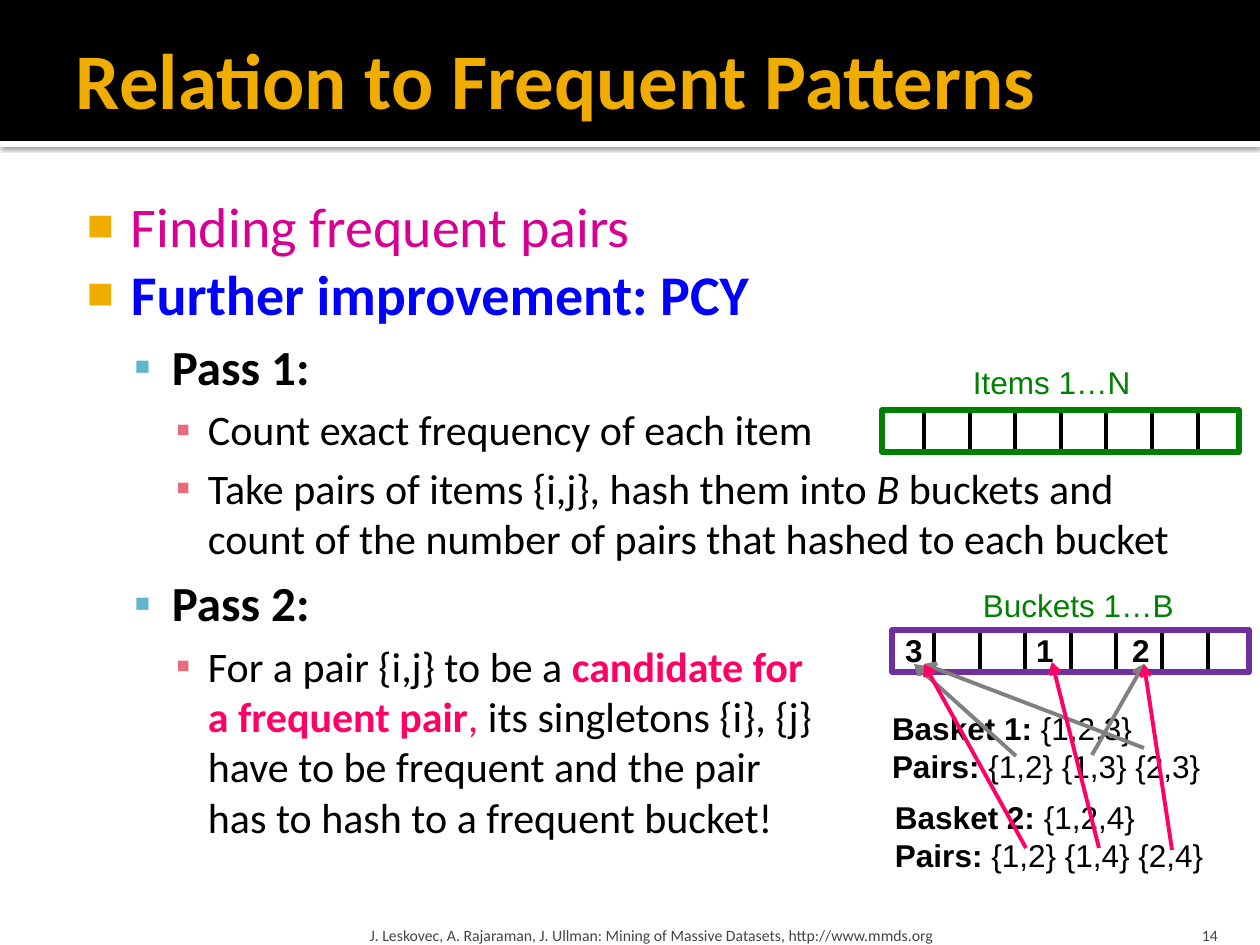
from lxml import etree
from pptx import Presentation
from pptx import util as u
from pptx.dml.color import RGBColor
from pptx.enum import shapes, text
from pptx.oxml import parse_xml
from pptx.oxml.ns import nsdecls, qn

PX = 914400 / 126
HUE = {"black": "000000", "white": "FFFFFF", "gold": "F0AD00", "plum": "D60093",
       "blue": "0000FF", "teal": "60B5CC", "rose": "E66C7D", "pink": "FF0066",
       "green": "008000", "violet": "7030A0", "gray": "808080", "dark": "454545"}
RGB = {name: RGBColor.from_string(code) for name, code in HUE.items()}

deck = Presentation()
deck.slide_width, deck.slide_height = u.Inches(10), u.Inches(7.5)
slide = deck.slides.add_slide(deck.slide_layouts[6])
art = slide.shapes


def write(spot, paras, size, font="Calibri", hue="black", inset=(13, 6, 13, 6),
          anchor="TOP", align="LEFT", wrap=True, levels=None, tabs=()):
    box = art.add_textbox(*[round(v * PX) for v in spot])
    frame = box.text_frame
    frame.word_wrap = wrap
    frame.auto_size = text.MSO_AUTO_SIZE.NONE if wrap else text.MSO_AUTO_SIZE.SHAPE_TO_FIT_TEXT
    frame.vertical_anchor = text.MSO_ANCHOR[anchor]
    (frame.margin_left, frame.margin_top,
     frame.margin_right, frame.margin_bottom) = [round(v * PX) for v in inset]
    for i, runs in enumerate(paras):
        para = frame.paragraphs[0] if i == 0 else frame.add_paragraph()
        para.alignment = text.PP_ALIGN[align]
        props = para._p.get_or_add_pPr()
        points = size
        if levels:
            para.level = levels[i]
            mark, tint, scale, left, hang, points, gap = LEVELS[levels[i]]
            props.set("marL", str(round(left * PX)))
            props.set("indent", str(round(-hang * PX)))
            for tag, key, value in (("buSzPct", "val", str(scale * 1000)),
                                    ("buFont", "typeface", "Arial"),
                                    ("buChar", "char", mark)):
                etree.SubElement(props, qn("a:" + tag)).set(key, value)
            color = parse_xml(f'<a:buClr {nsdecls("a")}><a:srgbClr val="{HUE[tint]}"/></a:buClr>')
            props.insert(0, color)
            para.space_before = u.Pt(gap)
        if tabs:
            stops = etree.SubElement(props, qn("a:tabLst"))
            for x in tabs:
                etree.SubElement(stops, qn("a:tab"), pos=str(round(x * PX)), algn="l")
        for words, look, tone in runs:
            for j, part in enumerate(words.split("\n")):
                if j:
                    para.add_line_break()
                run = para.add_run()
                run.text = part
                run.font.name, run.font.size = font, u.Pt(points)
                run.font.bold, run.font.italic = look == "b", look == "i"
                run.font.color.rgb = RGB[tone or hue]


def draw(start, end, hue, arrow=False):
    line = art.add_connector(shapes.MSO_CONNECTOR.STRAIGHT,
                             *[round(v * PX) for v in start + end])
    line.line.color.rgb, line.line.width = RGB[hue], u.Pt(2.25)
    etree.SubElement(line._element.spPr, qn("a:effectLst"))
    if arrow:
        etree.SubElement(line.line._ln, qn("a:tailEnd"), type="arrow")


for y, h, hue in ((141, 6, "white"), (0, 141, "black")):
    bar = art.add_shape(shapes.MSO_SHAPE.RECTANGLE, 0, round(y * PX),
                        deck.slide_width, round(h * PX))
    bar.shadow.inherit = False
    bar.fill.solid()
    bar.fill.fore_color.rgb = RGB[hue]
    bar.line.fill.background()
    if hue == "white":
        glow = bar._element.spPr.find(qn("a:effectLst"))
        glow.append(parse_xml(
            f'<a:outerShdw {nsdecls("a")} blurRad="31750" dist="10160" dir="5400000">'
            '<a:srgbClr val="000000"><a:alpha val="60000"/></a:srgbClr></a:outerShdw>'))

write((63, 10, 1134, 136), [[("Relation to Frequent Patterns", "b", None)]], 45,
      hue="gold", inset=(13, 6, 6, 6), anchor="MIDDLE")

LEVELS = [("■", "gold", 80, 60, 44, 32, 0),
          ("▪", "teal", 100, 101, 38, 28, 5.6),
          ("▪", "rose", 100, 137, 32, 24, 4.8)]
BODY = [
    (0, [("Finding frequent pairs", "", "plum")]),
    (0, [("Further improvement: PCY", "b", "blue")]),
    (1, [("Pass 1:", "b", None)]),
    (2, [("Count exact frequency of each item", "", None)]),
    (2, [("Take pairs of items {i,j}, hash them into ", "", None), ("B", "i", None),
         (" buckets and count of the number of pairs that hashed to each bucket", "", None)]),
    (1, [("Pass 2:", "b", None)]),
    (2, [("For a pair {i,j} to be a ", "", None),
         ("candidate for \na frequent pair", "b", "pink"), (", ", "", "pink"),
         ("its singletons {i}, {j} \nhave to be frequent and the pair \n"
          "has to hash to a frequent bucket!", "", None)]),
]
write((63, 179, 1134, 746), [runs for _, runs in BODY], 24,
      inset=(8, 13, 13, 6), levels=[level for level, _ in BODY])

write((364, 907, 759, 38),
      [[("J. Leskovec, A. Rajaraman, J. Ullman: Mining of Massive Datasets, "
         "http://www.mmds.org", "", None)]], 9, hue="dark", inset=(6, 6, 6, 0), anchor="BOTTOM")
write((1130, 907, 101, 38), [[("14", "", None)]], 9, hue="dark",
      inset=(13, 6, 13, 0), anchor="BOTTOM", align="RIGHT")

for x, y, hue in ((882, 410, "green"), (892, 630, "violet")):
    for i in range(7):
        at = x + 42 + round(i * 45.6)
        draw((at, y), (at, y + 42), "black")
    row = art.add_shape(shapes.MSO_SHAPE.RECTANGLE,
                        *[round(v * PX) for v in (x, y, 357, 42)])
    row.shadow.inherit = False
    row.fill.background()
    row.line.color.rgb, row.line.width = RGB[hue], u.Pt(3)

for spot, words in (((960, 357, 184, 50), "Items 1…N"), ((970, 580, 218, 50), "Buckets 1…B")):
    write(spot, [[(words, "", None)]], 18, "Arial", "green", wrap=False)

for x, y, name, items, pairs in (
        (879, 703, "Basket 1:", " {1,2,3}", " {1,2} {1,3} {2,3}"),
        (882, 792, "Basket 2:", " {1,2,4}", " {1,2} {1,4} {2,4}")):
    write((x, y, 336, 89), [[(name, "b", None), (items, "", None)],
                            [("Pairs:", "b", None), (pairs, "", None)]],
          18, "Arial", wrap=False)

for start, end in (((1016, 756), (914, 664)), ((1144, 748), (924, 664)),
                   ((1092, 755), (1144, 664))):
    draw(start, end, "gray", True)

write((892, 625, 273, 50), [[("3\t1\t2", "b", None)]], 18, "Arial",
      wrap=False, tabs=(131, 227))

for start, end in (((1026, 848), (924, 664)), ((1172, 850), (1144, 664)),
                   ((1099, 848), (1052, 662))):
    draw(start, end, "pink", True)

deck.save("out.pptx")
